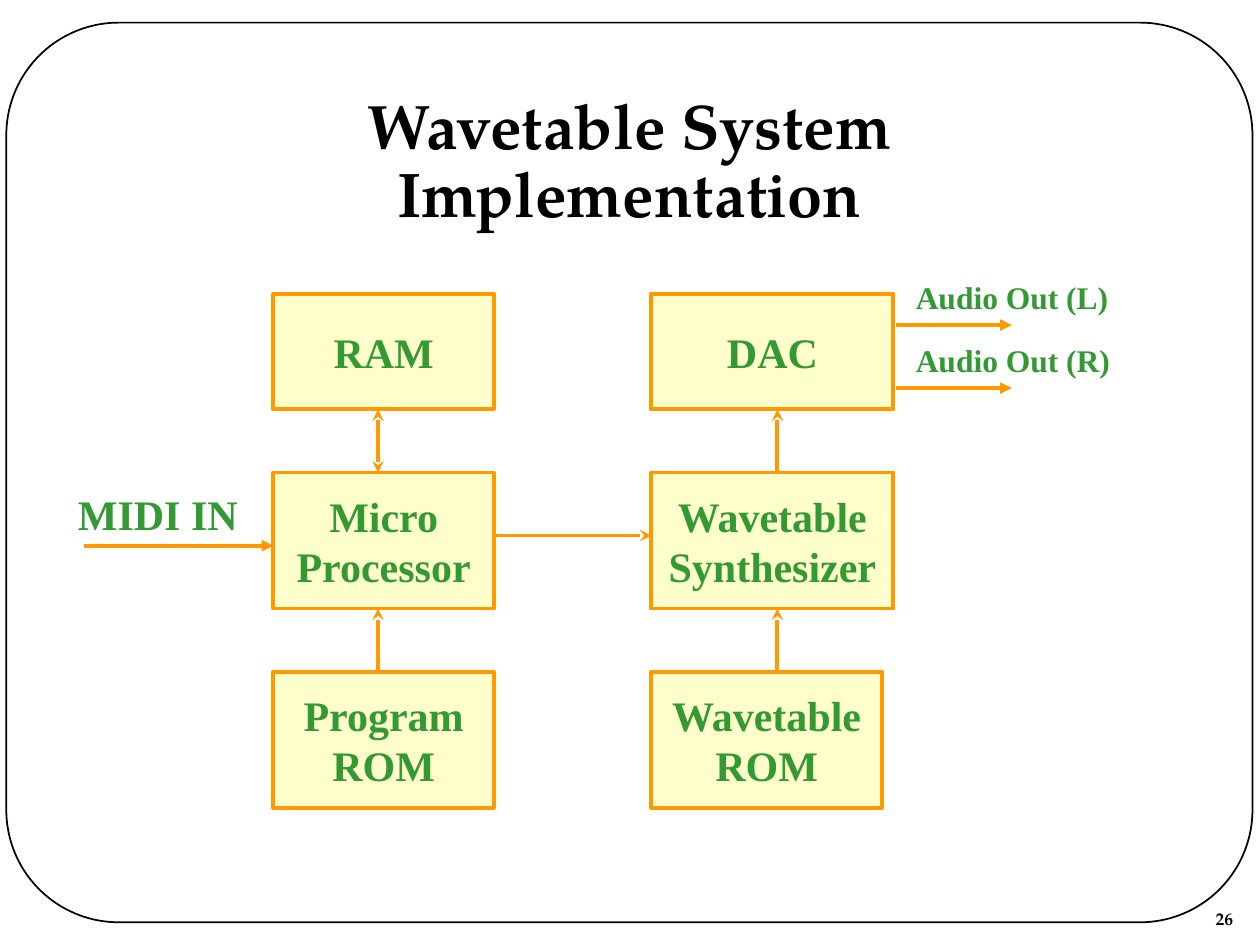
from lxml import etree
from pptx import Presentation
from pptx.dml.color import RGBColor
from pptx.enum import shapes, text
from pptx.oxml.ns import qn
from pptx.util import Inches, Pt

ORANGE, CREAM, GREEN, BLACK = "FF9900", "FFFFCC", "339933", "000000"
SERIF, DISPLAY = "Times New Roman", "TeX Gyre Pagella"


def rgb(value):
    """Turn a hex string into a colour."""
    return RGBColor.from_string(value)


def write(sp, lines, size=24, font=SERIF, color=GREEN, align=text.PP_ALIGN.LEFT,
          anchor=text.MSO_ANCHOR.TOP, wrap=False, spacing=None):
    """Fill a shape with bold text, one paragraph for each line."""
    tf = sp.text_frame
    tf.word_wrap = wrap
    tf.vertical_anchor = anchor
    for i, line in enumerate(lines.split("\n")):
        p = tf.add_paragraph() if i else tf.paragraphs[0]
        p.alignment = align
        if spacing:
            p.line_spacing = spacing
        r = p.add_run()
        r.text = line
        r.font.size, r.font.name, r.font.bold = Pt(size), font, True
        r.font.color.rgb = rgb(color)


def add_label(s, box, lines, **fmt):
    """Add a text box at the given left, top, width and height."""
    write(s.shapes.add_textbox(*map(Inches, box)), lines, **fmt)


def add_block(s, box, lines):
    """Add one component of the block diagram."""
    sp = s.shapes.add_shape(shapes.MSO_SHAPE.RECTANGLE, *map(Inches, box))
    sp.shadow.inherit = False
    sp.fill.solid()
    sp.fill.fore_color.rgb = rgb(CREAM)
    sp.line.color.rgb = rgb(ORANGE)
    sp.line.width = Pt(2.25)
    write(sp, lines, align=text.PP_ALIGN.CENTER, anchor=text.MSO_ANCHOR.MIDDLE)


def add_arrow(s, start, end, tail="stealth", head=None):
    """Add a straight signal arrow between two points."""
    c = s.shapes.add_connector(shapes.MSO_CONNECTOR.STRAIGHT,
                               *map(Inches, (*start, *end)))
    c.line.color.rgb = rgb(ORANGE)
    c.line.width = Pt(2.25)
    ln = c.line._get_or_add_ln()
    for tag, kind in (("a:headEnd", head), ("a:tailEnd", tail)):
        if kind:
            etree.SubElement(ln, qn(tag), type=kind)
    etree.SubElement(c._element.spPr, qn("a:effectLst"))


def add_frame(s, box):
    """Add the rounded page border and the slide number."""
    sp = s.shapes.add_shape(shapes.MSO_SHAPE.ROUNDED_RECTANGLE, *map(Inches, box))
    sp.adjustments[0] = 0.125
    sp.shadow.inherit = False
    sp.fill.background()
    sp.line.color.rgb = rgb(BLACK)
    sp.line.width = Pt(1)
    add_label(s, (9.55, 7.16, 0.43, 0.3), "26", size=10, font=DISPLAY,
              color=BLACK, wrap=True)


def add_title(s, box):
    """Add the slide title."""
    add_label(s, box, "Wavetable System Implementation", size=36, font=DISPLAY,
              color=BLACK, align=text.PP_ALIGN.CENTER,
              anchor=text.MSO_ANCHOR.MIDDLE, wrap=True, spacing=0.9)


def add_column(s, left, top, widths, names, axis, head=None):
    """Stack three blocks and point an arrow up each gap."""
    heights, gap = (0.92, 1.08, 1.08), 0.5
    for i, (name, width, height) in enumerate(zip(names, widths, heights)):
        add_block(s, (left, top, width, height), name)
        top += height
        if i < 2:
            add_arrow(s, (axis, top + gap), (axis, top), head=None if i else head)
        top += gap


def add_audio_outputs(s, left, top):
    """Add the left and right output arrows with their labels."""
    for i, channel in enumerate("LR"):
        y = top + 0.5 * i
        add_label(s, (left + 0.06, y - 0.42, 1.74, 0.4),
                  f"Audio Out ({channel})", size=18)
        add_arrow(s, (left, y), (left + 0.92, y), tail="triangle")


def add_diagram(s, left, top):
    """Lay out the wavetable system from MIDI input to audio output."""
    cpu, synth = left + 1.5, left + 4.5
    add_column(s, cpu, top, (1.75, 1.75, 1.75),
               ("RAM", "Micro\nProcessor", "Program\nROM"), cpu + 0.83, head="stealth")
    add_column(s, synth, top, (1.92, 1.92, 1.83),
               ("DAC", "Wavetable\nSynthesizer", "Wavetable\nROM"), synth + 1)
    add_arrow(s, (cpu + 1.75, top + 1.92), (synth, top + 1.92))
    add_label(s, (left - 0.15, top + 1.5, 1.47, 0.5), "MIDI IN")
    add_arrow(s, (left, top + 2), (cpu, top + 2), tail="triangle")
    add_audio_outputs(s, synth + 1.94, top + 0.25)


def main():
    """Build and save the slide."""
    prs = Presentation()
    prs.slide_width, prs.slide_height = Inches(10), Inches(7.5)
    s = prs.slides.add_slide(prs.slide_layouts[6])
    add_frame(s, (0.05, 0.18, 9.89, 7.14))
    add_title(s, (1.08, 0.67, 7.83, 1.25))
    add_diagram(s, 0.67, 2.33)
    prs.save("out.pptx")


if __name__ == "__main__":
    main()
